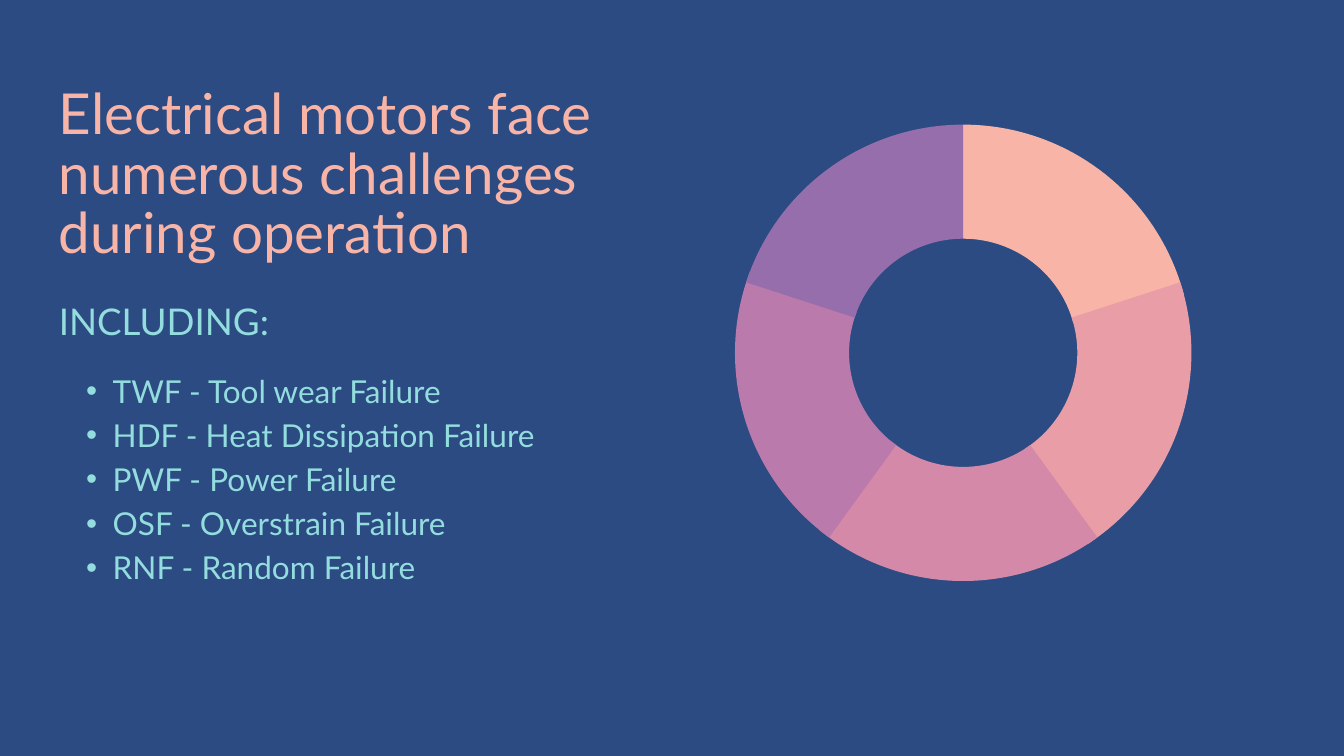
from dataclasses import dataclass
from math import cos, radians, sin, tan

from lxml.etree import SubElement
from pptx import Presentation
from pptx.dml.color import RGBColor
from pptx.enum.text import MSO_ANCHOR, MSO_AUTO_SIZE, PP_ALIGN
from pptx.oxml.ns import qn
from pptx.util import Emu, Pt

PX = 9525  # EMU per px: 96 px to the inch


@dataclass(frozen=True)
class Theme:
    font: str = "Lato"
    background: str = "2B4B82"
    title: str = "F7B4A7"
    text: str = "94DDDE"
    ring: tuple = ("F7B4A7", "E99DA6", "D589A8", "BA7AAB", "966EAC")
    # (type size, line spacing) in points
    title_size: tuple = (60.5, 63.5)
    heading_size: tuple = (39.4, 55.1)
    list_size: tuple = (33.8, 47.3)


THEME = Theme()

FAILURES = [
    "TWF - Tool wear Failure",
    "HDF - Heat Dissipation Failure",
    "PWF - Power Failure",
    "OSF - Overstrain Failure",
    "RNF - Random Failure",
]


def px(n):
    return Emu(round(n * PX))


def rgb(value):
    return RGBColor.from_string(value)


def add_bullet(p, indent, hanging):
    pPr = p._p.get_or_add_pPr()
    pPr.set("marL", str(px(indent)))
    pPr.set("indent", str(-px(hanging)))
    SubElement(pPr, qn("a:buFont")).set("typeface", "Arial")
    SubElement(pPr, qn("a:buChar")).set("char", "•")


def fill_text(sp, box, lines, size, color, bullets=False):
    """Place a text shape in box and write one paragraph per line."""
    sp.left, sp.top, sp.width, sp.height = map(px, box)
    tf = sp.text_frame
    tf.word_wrap = True
    tf.auto_size = MSO_AUTO_SIZE.NONE
    tf.vertical_anchor = MSO_ANCHOR.TOP
    tf.margin_left = tf.margin_top = tf.margin_right = tf.margin_bottom = 0
    points, spacing = size
    for i, line in enumerate(lines):
        p = tf.add_paragraph() if i else tf.paragraphs[0]
        p.alignment = PP_ALIGN.LEFT
        p.line_spacing = Pt(spacing)
        p.space_before = Pt(0)
        if bullets:
            add_bullet(p, 77, 38)
        r = p.add_run()
        r.text = line
        r.font.name = THEME.font
        r.font.size = Pt(points)
        r.font.color.rgb = rgb(color)


def add_challenges(slide, left, top, width):
    title, body = slide.placeholders
    fill_text(title, (left, top, width, 257),
              ["Electrical motors face numerous challenges during operation"],
              THEME.title_size, THEME.title)
    heading = slide.shapes.add_textbox(0, 0, 0, 0)
    fill_text(heading, (left, top + 293, width - 24, 68), ["INCLUDING:"],
              THEME.heading_size, THEME.text)
    fill_text(body, (left, top + 398, width - 176, 374), FAILURES,
              THEME.list_size, THEME.text, bullets=True)


def arc_points(cx, cy, radius, start, end):
    """Return the four Bézier points of an arc, in degrees clockwise from the top."""
    a, b = radians(start), radians(end)
    k = radius * 4 / 3 * tan((b - a) / 4)
    x0, y0 = cx + radius * sin(a), cy - radius * cos(a)
    x1, y1 = cx + radius * sin(b), cy - radius * cos(b)
    return [(px(x), px(y)) for x, y in (
        (x0, y0), (x0 + k * cos(a), y0 + k * sin(a)),
        (x1 - k * cos(b), y1 - k * sin(b)), (x1, y1))]


def curve_lines(sp, first):
    """Join three straight steps, counted from first, into one Bézier curve."""
    steps = list(sp._element.iter(qn("a:lnTo")))[first:first + 3]
    curve = steps[0].makeelement(qn("a:cubicBezTo"))
    steps[0].addprevious(curve)
    for step in steps:
        curve.append(step[0])
        step.getparent().remove(step)


def add_ring(slide, left, top, size):
    """Draw equal segments clockwise from the top, each tucked under the next."""
    outer, inner = size / 2, size / 4
    cx, cy = left + outer, top + outer
    step, overlap = 360 // len(THEME.ring), 3
    for i, color in enumerate(THEME.ring):
        start = i * step
        end = min(start + step + overlap, 360)
        points = arc_points(cx, cy, outer, start, end)
        points += arc_points(cx, cy, inner, end, start)
        builder = slide.shapes.build_freeform(*points[0])
        builder.add_line_segments(points[1:], close=True)
        sp = builder.convert_to_shape()
        curve_lines(sp, 4)
        curve_lines(sp, 0)
        sp.shadow.inherit = False
        sp.fill.solid()
        sp.fill.fore_color.rgb = rgb(color)
        sp.line.fill.background()


def main():
    prs = Presentation()
    prs.slide_width, prs.slide_height = px(1920), px(1080)
    slide = prs.slides.add_slide(prs.slide_layouts[1])
    slide.background.fill.solid()
    slide.background.fill.fore_color.rgb = rgb(THEME.background)
    add_challenges(slide, 84, 124, 861)
    add_ring(slide, 1050, 178, 652)
    prs.save("out.pptx")


if __name__ == "__main__":
    main()
